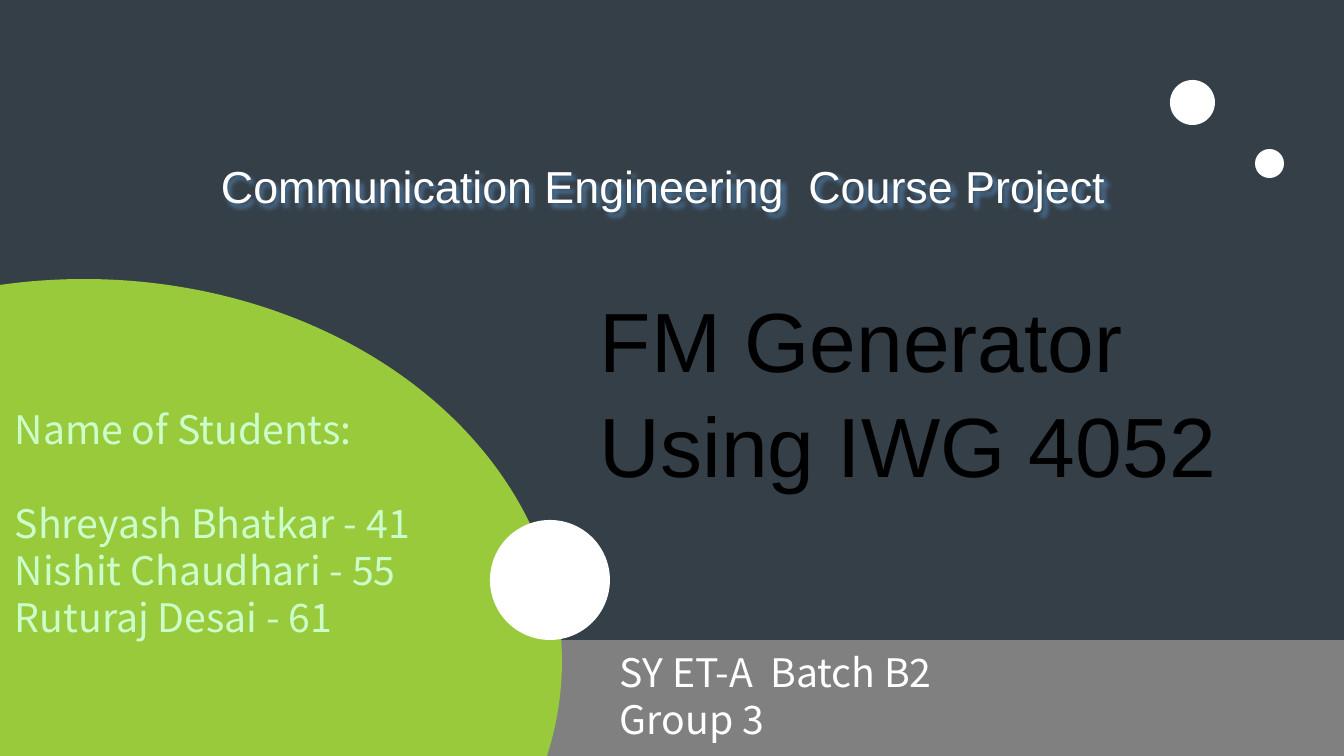
from math import asin, acos, cos, pi, sin

from lxml.etree import SubElement
from pptx import Presentation
from pptx.dml.color import RGBColor
from pptx.enum.shapes import MSO_SHAPE as Shape
from pptx.oxml.ns import qn
from pptx.util import Pt

PX = 914400 / 100.8
WIDTH, HEIGHT = 1344, 756

SLATE = RGBColor(0x35, 0x3F, 0x48)
GRAY = RGBColor(0x80, 0x80, 0x80)
GREEN = RGBColor(0x99, 0xCA, 0x3B)
MINT = RGBColor(0xCC, 0xFE, 0xCC)
WHITE = RGBColor(0xFF, 0xFF, 0xFF)
NEAR_WHITE = RGBColor(0xFE, 0xFE, 0xFE)
BLACK = RGBColor(0, 0, 0)
BLUE = RGBColor(0x5B, 0x9B, 0xD5)

BODY_LINE = Pt(33.6)
TITLE = {"name": "Arial", "size": Pt(60), "color": BLACK}
HEADING = {"name": "Arial", "size": Pt(32), "color": NEAR_WHITE}
DETAILS = {"name": "Noto Sans CJK KR", "size": Pt(28), "color": WHITE}
STUDENTS = DETAILS | {"color": MINT}


def emu(*lengths):
    return [round(length * PX) for length in lengths]


def paint(shape, color):
    shape.fill.solid()
    shape.fill.fore_color.rgb = color
    shape.line.fill.background()
    shape.shadow.inherit = False


def add_plain(slide, kind, box, color):
    paint(slide.shapes.add_shape(kind, *emu(*box)), color)


def add_hill(slide, center_x, center_y, radius_x, radius_y, color, steps=120):
    """Draw the part of an ellipse inside the slide's lower left corner."""
    start = acos(-center_x / radius_x)
    end = -asin((HEIGHT - center_y) / radius_y)
    angles = [start + (end - start) * i / steps for i in range(steps + 1)]
    points = [emu(center_x + radius_x * cos(a), center_y - radius_y * sin(a))
              for a in angles]
    outline = slide.shapes.build_freeform(*points[0])
    outline.add_line_segments(points[1:] + [emu(0, HEIGHT)])
    paint(outline.convert_to_shape(), color)


def set_outline(run, color):
    line = SubElement(run.font._element, qn("a:ln"), w=str(Pt(0.75)))
    fill = SubElement(line, qn("a:solidFill"))
    SubElement(fill, qn("a:srgbClr"), val=str(color))
    run.font._element.insert(0, line)


def add_glow_shadow(box, color):
    effects = SubElement(box._element.spPr, qn("a:effectLst"))
    shadow = SubElement(effects, qn("a:outerShdw"), blurRad=str(Pt(3)),
                        dist=str(Pt(3)), dir="2700000", algn="tl")
    tint = SubElement(shadow, qn("a:srgbClr"), val=str(color))
    SubElement(tint, qn("a:alpha"), val="60000")


def add_text(slide, box, lines, style, spacing, outline=None, gap_after=None):
    """Write one paragraph per line, with a blank line's space after gap_after."""
    text_box = slide.shapes.add_textbox(*emu(*box))
    frame = text_box.text_frame
    frame.word_wrap = True
    for index, line in enumerate(lines):
        paragraph = frame.paragraphs[0] if index == 0 else frame.add_paragraph()
        paragraph.line_spacing = spacing
        if index == gap_after:
            paragraph.space_after = spacing
        run = paragraph.add_run()
        run.text = line
        for key, value in style.items():
            if key == "color":
                run.font.color.rgb = value
            else:
                setattr(run.font, key, value)
        if outline is not None:
            set_outline(run, outline)
    return text_box


def main():
    deck = Presentation()
    deck.slide_width, deck.slide_height = emu(WIDTH, HEIGHT)
    slide = deck.slides.add_slide(deck.slide_layouts[6])
    slide.background.fill.solid()
    slide.background.fill.fore_color.rgb = SLATE

    add_plain(slide, Shape.RECTANGLE, (0, 640, WIDTH, 116), GRAY)
    add_text(slide, (590, 280, 728, 214), ["FM Generator", "Using IWG 4052"],
             TITLE, 1.04, WHITE)
    heading = add_text(slide, (211, 152, 922, 64),
                       ["Communication Engineering  Course Project"],
                       HEADING, 1.04, BLUE)
    add_glow_shadow(heading, BLUE)

    add_hill(slide, 84, 661, 478, 382, GREEN)
    for left, top, size in ((490, 520, 120), (1170, 80, 45), (1255, 149, 29)):
        add_plain(slide, Shape.OVAL, (left, top, size, size), WHITE)

    add_text(slide, (610, 643, 452, 105), ["SY ET-A  Batch B2", "Group 3"],
             DETAILS, BODY_LINE)
    add_text(slide, (5, 400, 440, 248),
             ["Name of Students:", "Shreyash Bhatkar - 41",
              "Nishit Chaudhari - 55", "Ruturaj Desai - 61"],
             STUDENTS, BODY_LINE, gap_after=0)
    deck.save("out.pptx")


if __name__ == "__main__":
    main()
